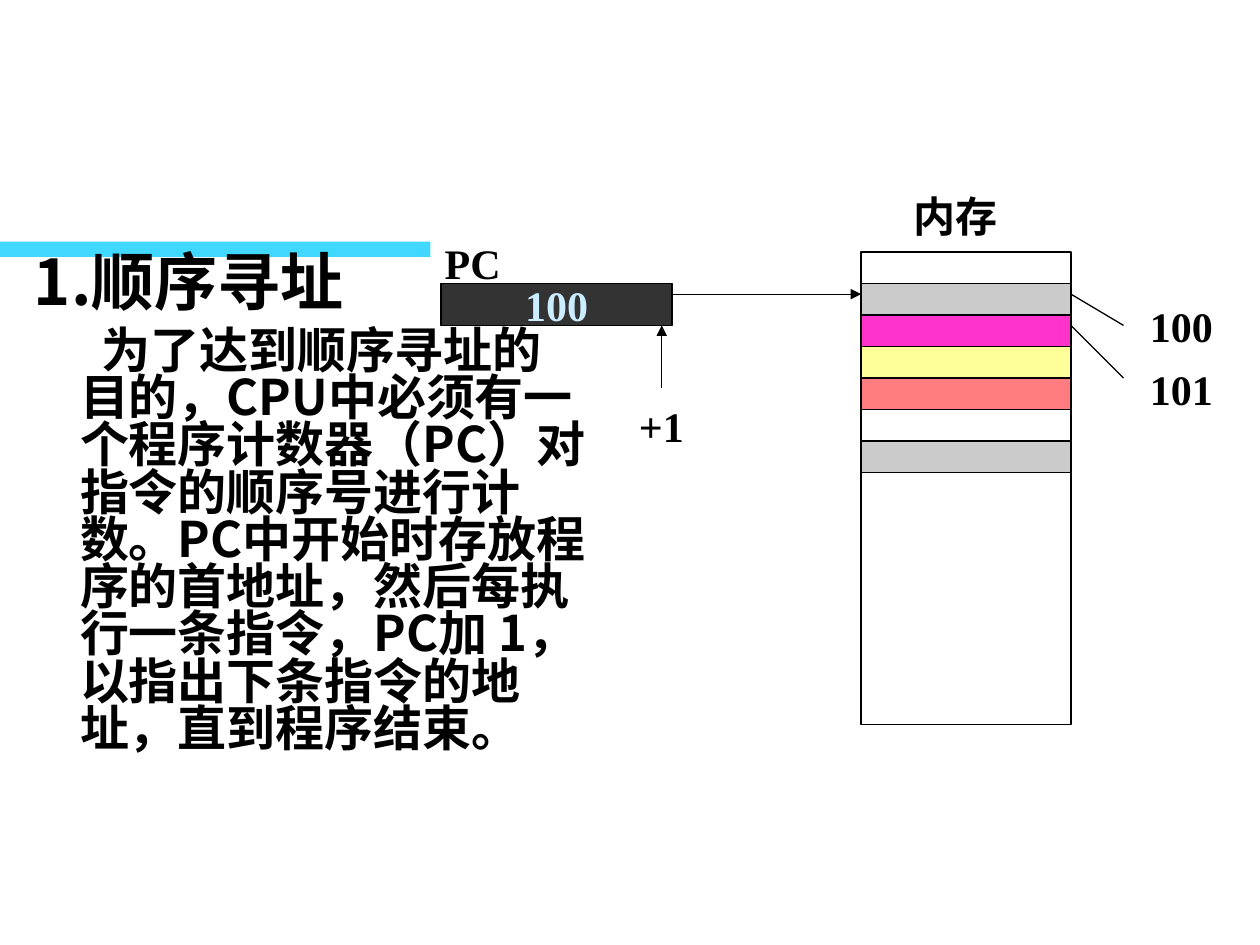
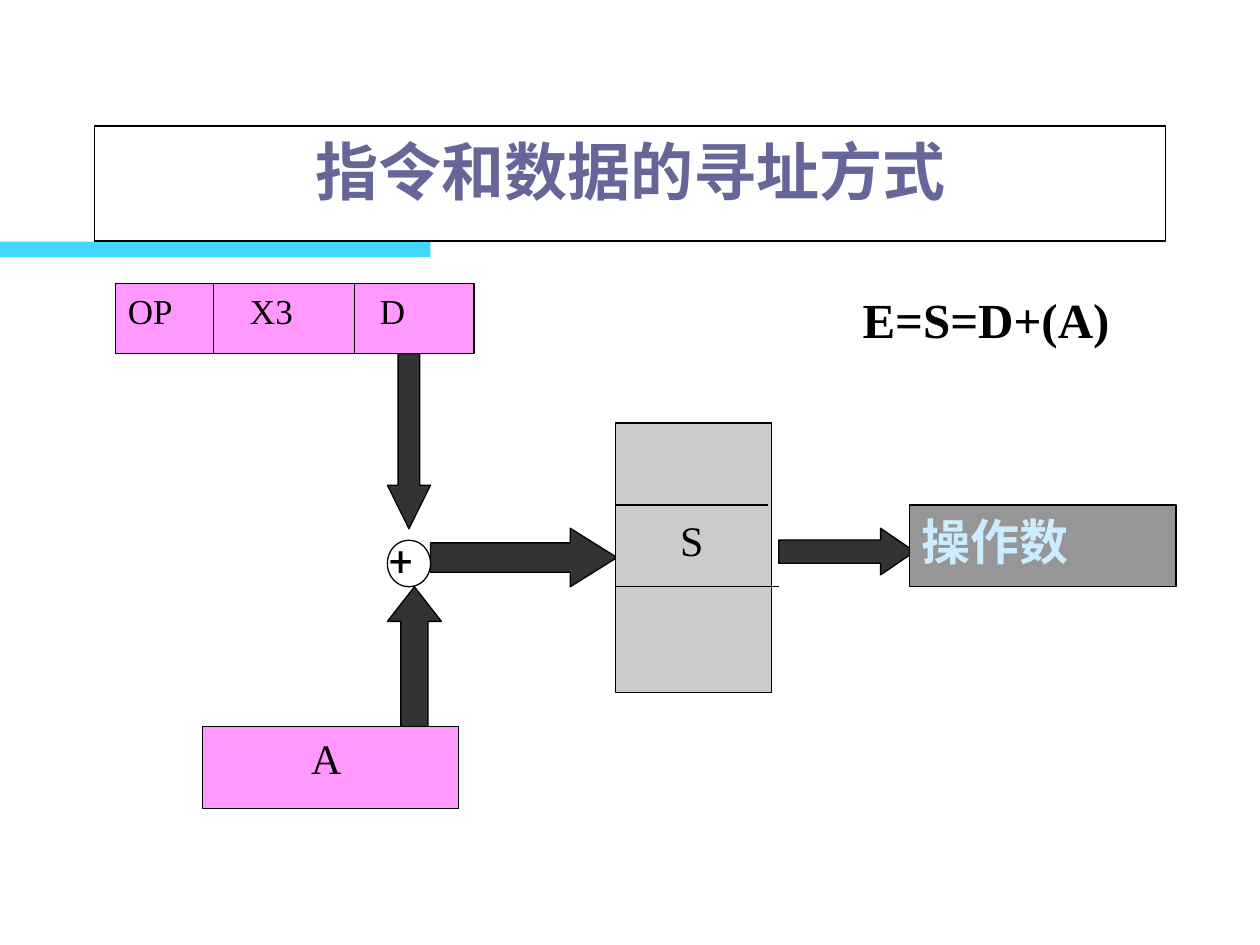
from lxml.etree import SubElement
from pptx import Presentation
from pptx.dml.color import RGBColor
from pptx.enum.shapes import MSO_CONNECTOR, MSO_SHAPE as Preset
from pptx.enum.text import MSO_ANCHOR as Anchor, MSO_AUTO_SIZE, PP_ALIGN as Align
from pptx.oxml.ns import qn
from pptx.util import Cm, Pt

SERIF = "Times New Roman"
HEITI = "Noto Sans CJK SC"
TITLE_FONT = "Noto Sans CJK JP"
BLACK, WHITE, DARK, SILVER, GRAY = "000000", "FFFFFF", "333333", "CBCBCB", "969696"
PINK, PALE_BLUE, SLATE, BAND_BLUE = "FF99FF", "CCECFF", "666699", "00CCFF"
THIN = Pt(0.75)


def rgb(value):
    return RGBColor.from_string(value)


def place(shape, left, top, width, height):
    shape.left, shape.top = Cm(left), Cm(top)
    shape.width, shape.height = Cm(width), Cm(height)


def paint(shape, fill=None, line=BLACK):
    if fill:
        shape.fill.solid()
        shape.fill.fore_color.rgb = rgb(fill)
    else:
        shape.fill.background()
    if line:
        shape.line.color.rgb = rgb(line)
        shape.line.width = THIN
    else:
        shape.line.fill.background()


def write(paragraph, text, size=24, font=SERIF, asian_font=HEITI, color=BLACK, bold=False,
          align=Align.LEFT, spacing=None, before=0, margin=0, indent=0):
    properties = paragraph._p.get_or_add_pPr()
    properties.set("marL", str(Cm(margin)))
    properties.set("indent", str(Cm(indent)))
    properties.set("hangingPunct", "0")
    SubElement(properties, qn("a:buNone"))
    paragraph.alignment = align
    paragraph.space_before = Pt(before)
    if spacing:
        paragraph.line_spacing = Pt(spacing)
    run = paragraph.add_run()
    run.text = text
    run.font.size, run.font.bold, run.font.name = Pt(size), bold, font
    run.font.color.rgb = rgb(color)
    SubElement(run._r.get_or_add_rPr(), qn("a:ea"), typeface=asian_font)


def prepare_frame(shape, anchor=Anchor.TOP, wrap=True):
    frame = shape.text_frame
    frame.word_wrap = wrap
    frame.auto_size = MSO_AUTO_SIZE.NONE
    frame.vertical_anchor = anchor
    return frame


def add_block(slide, bounds, fill=None, line=BLACK, preset=Preset.RECTANGLE, adjust=()):
    block = slide.shapes.add_shape(preset, *map(Cm, bounds))
    block.shadow.inherit = False
    paint(block, fill, line)
    for index, value in enumerate(adjust):
        block.adjustments[index] = value
    return block


def label_block(block, text, anchor=Anchor.TOP, wrap=True, **style):
    frame = prepare_frame(block, anchor, wrap)
    write(frame.paragraphs[0], text, **style)
    return frame


def add_label(slide, bounds, text, **style):
    return label_block(slide.shapes.add_textbox(*map(Cm, bounds)), text, **style)


def add_line(slide, start, end, arrow=False):
    line = slide.shapes.add_connector(MSO_CONNECTOR.STRAIGHT, *map(Cm, start + end))
    line.line.color.rgb = rgb(BLACK)
    line.line.width = THIN
    if arrow:
        SubElement(line.line._get_or_add_ln(), qn("a:tailEnd"), type="triangle")
    SubElement(line.element.spPr, qn("a:effectLst"))


def add_master_band(prs, slide):
    band = add_block(slide, (0, 4.87, 8.68, 0.31), BAND_BLUE, line=None)
    color = band.element.spPr.find(qn("a:solidFill"))[0]
    SubElement(color, qn("a:alpha"), val="75000")
    prs.slide_master.shapes.element.insert(2, band.element)


def add_explanation(slide):
    title = slide.shapes.title.element
    title.getparent().remove(title)
    body = slide.placeholders[1]
    place(body, 0.43, 5.06, 11.63, 11.64)
    frame = prepare_frame(body)
    shared = dict(font=HEITI, bold=True, margin=0.93)
    write(frame.paragraphs[0], "1.顺序寻址", size=36, spacing=35, indent=-0.93, **shared)
    write(frame.add_paragraph(),
          "为了达到顺序寻址的目的，CPU中必须有一个程序计数器（PC）对指令的顺序号进行计数。"
          "PC中开始时存放程序的首地址，然后每执行一条指令，PC加 1，以指出下条指令的地址，"
          "直到程序结束。",
          size=28, spacing=27, before=7, indent=0.43, **shared)


def add_memory(slide, left=17.36, top=5.08, width=4.23, height=9.52):
    row = height / 15
    fills = [None, SILVER, "FF33CC", "FFFF99", "FF7C80", None, SILVER]
    for index, fill in enumerate(fills):
        add_block(slide, (left, top + index * row, width, row), fill)
    used = len(fills) * row
    add_block(slide, (left, top + used, width, height - used))


def build_sequential_slide(slide):
    add_explanation(slide)
    add_memory(slide)
    centred = dict(anchor=Anchor.MIDDLE, wrap=False, bold=True, align=Align.CENTER)
    counter = add_block(slide, (8.89, 5.72, 4.66, 0.84), DARK)
    label_block(counter, "100", color=PALE_BLUE, **centred)

    add_line(slide, (13.34, 7.82), (13.34, 6.56), arrow=True)
    add_line(slide, (13.55, 5.93), (17.36, 5.93), arrow=True)
    add_line(slide, (21.59, 5.93), (22.65, 6.56))
    add_line(slide, (21.59, 6.56), (22.65, 7.62))

    for text, bounds in [
        ("PC", (8.68, 4.87, 1.7, 0.84)),
        ("+1", (12.7, 8.05, 1.27, 1.07)),
        ("内存", (17.58, 3.81, 3.38, 1.07)),
        ("100", (22.86, 6.14, 1.91, 0.84)),
        ("101", (22.86, 7.41, 1.91, 0.84)),
    ]:
        add_label(slide, bounds, text, **centred)


def add_title(slide, text):
    title = slide.shapes.title
    place(title, 1.91, 2.54, 21.59, 2.32)
    paint(title, WHITE)
    label_block(title, text, size=36, font=TITLE_FONT, asian_font=TITLE_FONT, color=SLATE,
                bold=True, align=Align.CENTER, spacing=43.5)


def build_addressing_slide(slide):
    add_title(slide, "指令和数据的寻址方式")
    for preset, bounds, head in [
        (Preset.DOWN_ARROW, (7.81, 7.13, 0.87, 3.53), 1.01),
        (Preset.UP_ARROW, (7.81, 11.83, 1.09, 2.82), 0.64),
        (Preset.RIGHT_ARROW, (8.68, 10.65, 3.76, 1.18), 0.8),
        (Preset.RIGHT_ARROW, (15.7, 10.65, 2.74, 0.94), 0.73),
    ]:
        add_block(slide, bounds, DARK, preset=preset, adjust=(0.5, head))
    add_block(slide, (7.81, 10.89, 0.87, 0.94), WHITE, preset=Preset.OVAL)
    add_label(slide, (7.59, 10.65, 1.32, 1.27), "+", font="Roboto")

    register = add_block(slide, (4.08, 14.65, 5.16, 1.65), PINK)
    label_block(register, "A", align=Align.CENTER).margin_right = Cm(0.41)
    operand = add_block(slide, (18.33, 10.18, 5.38, 1.65), GRAY)
    label_block(operand, "操作数", size=28, color=PALE_BLUE, bold=True)

    instruction = add_block(slide, (2.33, 5.71, 7.23, 1.42), PINK)
    label_block(instruction, "OP", size=20)
    for x in (4.3, 7.15):
        add_line(slide, (x, 5.71), (x, 7.13))
    for field, left in (("X3", 4.79), ("D", 7.41)):
        add_label(slide, (left, 5.71, 2.1, 1.42), field, size=20)

    memory = add_block(slide, (12.41, 8.53, 3.15, 5.43), SILVER)
    address = label_block(memory, "S", align=Align.CENTER)
    address.margin_top, address.margin_right = Cm(1.85), Cm(0.33)
    for y, right in ((10.18, 15.48), (11.83, 15.7)):
        add_line(slide, (12.41, y), (right, y))

    add_label(slide, (17.14, 5.72, 5.99, 1.45), "E=S=D+(A)", size=28, bold=True)


def main():
    prs = Presentation()
    prs.slide_width, prs.slide_height = Cm(25.4), Cm(19.05)
    sequential = prs.slides.add_slide(prs.slide_layouts[1])
    addressing = prs.slides.add_slide(prs.slide_layouts[5])
    add_master_band(prs, sequential)
    build_sequential_slide(sequential)
    build_addressing_slide(addressing)
    prs.save("out.pptx")


if __name__ == "__main__":
    main()
